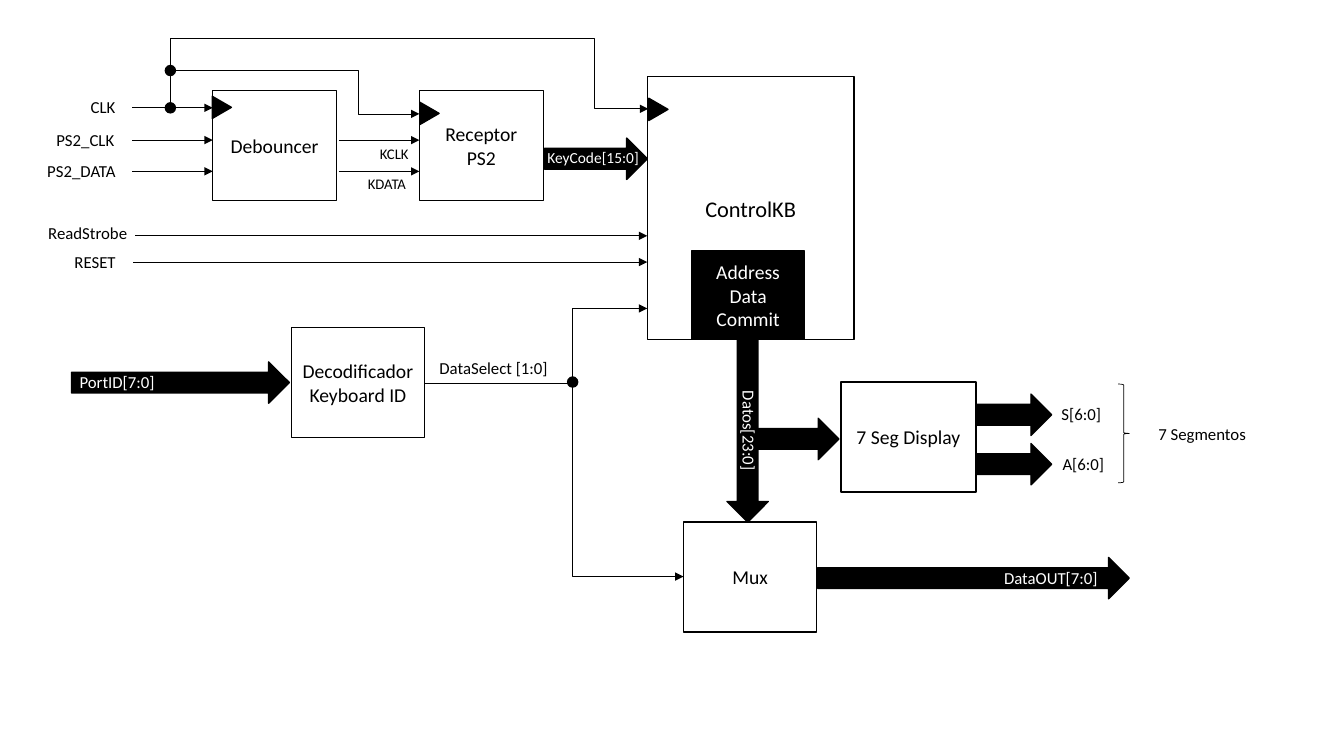
from lxml import etree
from pptx import Presentation
from pptx.dml.color import RGBColor
from pptx.enum import shapes as kinds, text as txt
from pptx.oxml.ns import qn
from pptx.util import Inches, Pt

COLORS = {"black": "000000", "white": "FFFFFF"}
FONT = "Calibri"
SHAPE = kinds.MSO_SHAPE

prs = Presentation()
prs.slide_width, prs.slide_height = Inches(13.33), Inches(7.5)
slide = prs.slides.add_slide(prs.slide_layouts[6])
black = RGBColor.from_string(COLORS["black"])


def block(preset, left, top, width, height, fill="black", caption="", size=14, ink="black", rotation=0):
    """Add an outlined preset shape with an optional centred caption."""
    part = slide.shapes.add_shape(preset, Inches(left), Inches(top), Inches(width), Inches(height))
    part.shadow.inherit = False
    part.rotation = rotation
    if fill:
        part.fill.solid()
        part.fill.fore_color.rgb = RGBColor.from_string(COLORS[fill])
    else:
        part.fill.background()
    part.line.color.rgb = black
    part.line.width = Pt(1 if fill else 0.5)
    if caption:
        frame = part.text_frame
        frame.text = caption
        frame.vertical_anchor = txt.MSO_ANCHOR.MIDDLE
        for paragraph in frame.paragraphs:
            paragraph.alignment = txt.PP_ALIGN.CENTER
            for run in paragraph.runs:
                run.font.name, run.font.size = FONT, Pt(size)
                run.font.color.rgb = RGBColor.from_string(COLORS[ink])


def wire(x1, y1, x2, y2, preset="line", adjusts=(), upright=False):
    """Add an arrow; an upright elbow leaves its start vertically (a box turned by 270 degrees)."""
    if upright:
        cx, cy, dx, dy = (x1 + x2) / 2, (y1 + y2) / 2, x2 - x1, y2 - y1
        x1, y1, x2, y2 = cx + dy / 2, cy - dx / 2, cx - dy / 2, cy + dx / 2
    kind = kinds.MSO_CONNECTOR.STRAIGHT if preset == "line" else kinds.MSO_CONNECTOR.ELBOW
    arrow = slide.shapes.add_connector(kind, Inches(x1), Inches(y1), Inches(x2), Inches(y2))
    arrow.line.color.rgb = black
    arrow.line.width = Pt(0.5)
    props = arrow._element.spPr
    if upright:
        props.find(qn("a:xfrm")).set("rot", str(270 * 60000))
    geometry = props.find(qn("a:prstGeom"))
    geometry.set("prst", preset)
    guides = geometry.find(qn("a:avLst"))
    for number, share in enumerate(adjusts, 1):
        etree.SubElement(guides, qn("a:gd"), name=f"adj{number}", fmla=f"val {round(share * 100000)}")
    etree.SubElement(props.find(qn("a:ln")), qn("a:tailEnd"), type="triangle")
    etree.SubElement(props, qn("a:effectLst"))


# Buses: left, top, length, rotation
buses = [
    (8.84, 3.91, 1.59, 0), (8.84, 4.4, 1.59, 0),
    (8.11, 5.53, 3.09, 0), (0.71, 3.59, 2.16, 0),
    (5.4, 1.37, 1.02, 0), (6.51, 4.07, 1.81, 90), (7.33, 4.15, 0.99, 0),
]
for left, top, length, rotation in buses:
    block(SHAPE.RIGHT_ARROW, left, top, length, 0.41, rotation=rotation)

# Modules
modules = [
    ("Debouncer", 2.11, 0.9, 1.23, 1.09, 14),
    ("Receptor PS2", 4.16, 0.9, 1.23, 1.09, 14),
    ("7 Seg Display", 8.34, 3.79, 1.34, 1.09, 14),
    ("ControlKB", 6.42, 0.76, 2.05, 2.61, 16),
    ("Decodificador\vKeyboard ID", 2.89, 3.25, 1.32, 1.09, 14),
    ("Mux", 6.78, 5.18, 1.32, 1.09, 14),
]
for caption, left, top, width, height, size in modules:
    block(SHAPE.RECTANGLE, left, top, width, height, "white", caption, size)
block(SHAPE.RECTANGLE, 6.86, 2.49, 1.12, 0.88, "black", "Address\vData\nCommit", ink="white")
block(SHAPE.RIGHT_BRACE, 11.09, 3.81, 0.11, 0.98, fill=None)

# Clock inputs
for left, top in [(2.09, 0.97), (4.15, 1.03), (6.42, 0.99)]:
    block(SHAPE.ISOSCELES_TRIANGLE, left, top, 0.22, 0.19, rotation=90)

# Straight signals: start, end, height
signals = [
    (1.31, 2.11, 1.07), (1.31, 2.11, 1.39), (1.31, 2.11, 1.7),
    (3.36, 4.16, 1.39), (3.36, 4.16, 1.7),
    (1.34, 6.42, 2.34), (1.32, 6.42, 2.6),
]
for start, end, y in signals:
    wire(start, y, end, y)

# Clock and data-select branches
wire(1.69, 1.02, 4.16, 1.13, "bentConnector4", (-2.91, 0.757), upright=True)
wire(1.69, 1.02, 6.43, 1.08, "bentConnector4", (-10.67, 0.888), upright=True)
wire(4.22, 3.8, 6.42, 3.06, "bentConnector3", (0.664,))
wire(5.68, 3.84, 6.78, 5.72, "bentConnector2", upright=True)

# Junctions
for left, top in [(1.64, 1.02), (1.64, 0.65), (5.63, 3.74)]:
    block(SHAPE.OVAL, left, top, 0.1, 0.1)

# Signal names: text, left, top, width, size, colour, rotation
names = [
    ("CLK", 0.8, 0.91, 0.45, 12, "black", 0),
    ("PS2_CLK", 0.46, 1.24, 0.78, 12, "black", 0),
    ("PS2_DATA", 0.37, 1.55, 0.89, 12, "black", 0),
    ("ReadStrobe", 0.38, 2.16, 0.99, 12, "black", 0),
    ("RESET", 0.64, 2.45, 0.62, 12, "black", 0),
    ("KCLK", 3.67, 1.39, 0.51, 10.5, "black", 0),
    ("KDATA", 3.55, 1.69, 0.61, 10.5, "black", 0),
    ("KeyCode[15:0]", 5.33, 1.42, 1.12, 11, "white", 0),
    ("PortID[7:0]", 0.69, 3.64, 0.95, 12, "white", 0),
    ("DataSelect [1:0]", 4.26, 3.5, 1.29, 12, "black", 0),
    ("Datos[23:0]", 6.93, 4.13, 1, 12, "white", 90),
    ("S[6:0]", 10.43, 3.96, 0.6, 12, "black", 0),
    ("A[6:0]", 10.44, 4.45, 0.62, 12, "black", 0),
    ("7 Segmentos", 11.39, 4.15, 1.08, 12, "black", 0),
    ("DataOUT[7:0]", 9.86, 5.58, 1.14, 12, "white", 0),
]
for name, left, top, width, size, color, rotation in names:
    label = slide.shapes.add_textbox(Inches(left), Inches(top), Inches(width), Inches(0.3))
    label.rotation = rotation
    frame = label.text_frame
    frame.word_wrap = False
    frame.auto_size = txt.MSO_AUTO_SIZE.SHAPE_TO_FIT_TEXT
    frame.text = name
    font = frame.paragraphs[0].runs[0].font
    font.name, font.size = FONT, Pt(size)
    font.color.rgb = RGBColor.from_string(COLORS[color])

prs.save("out.pptx")
